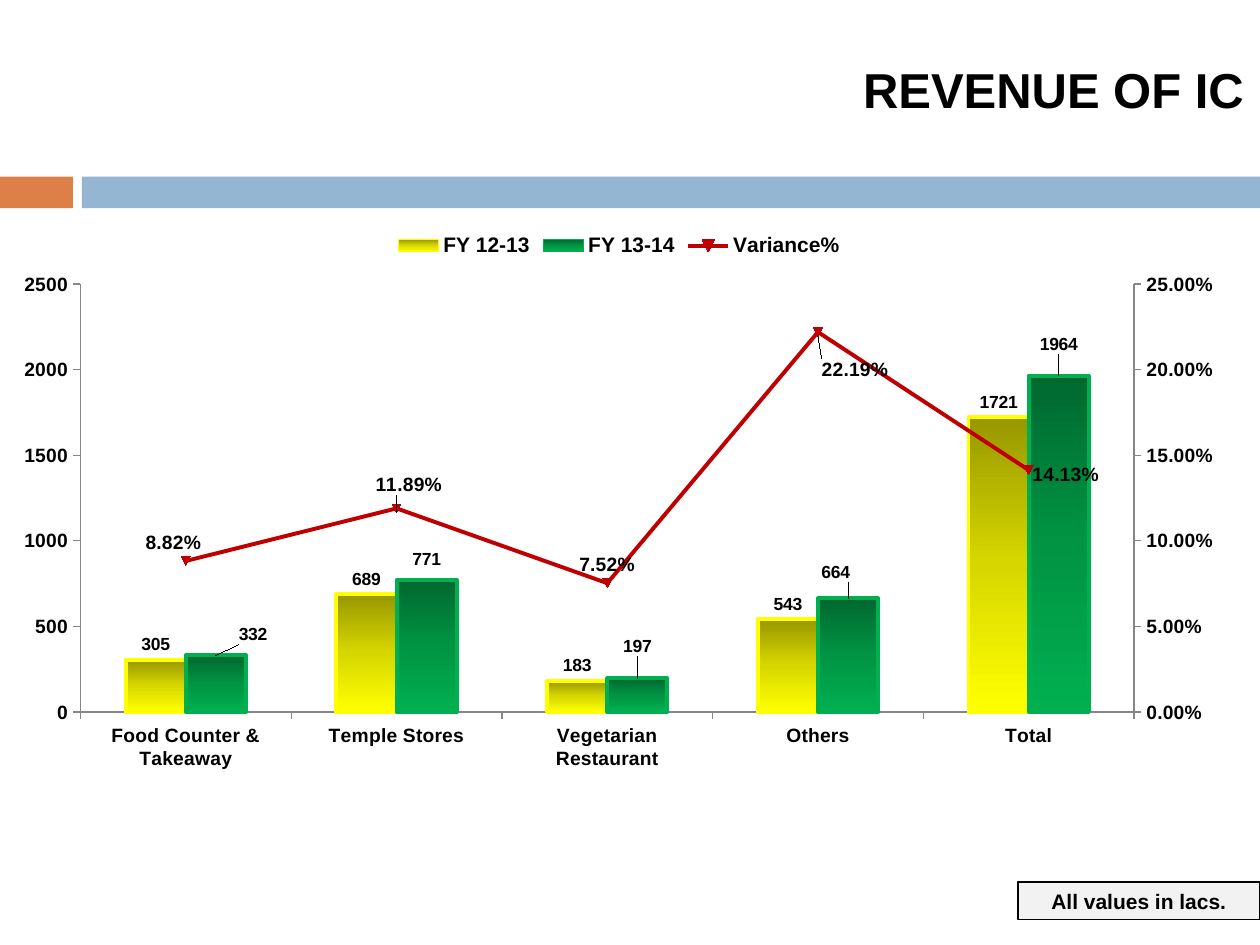
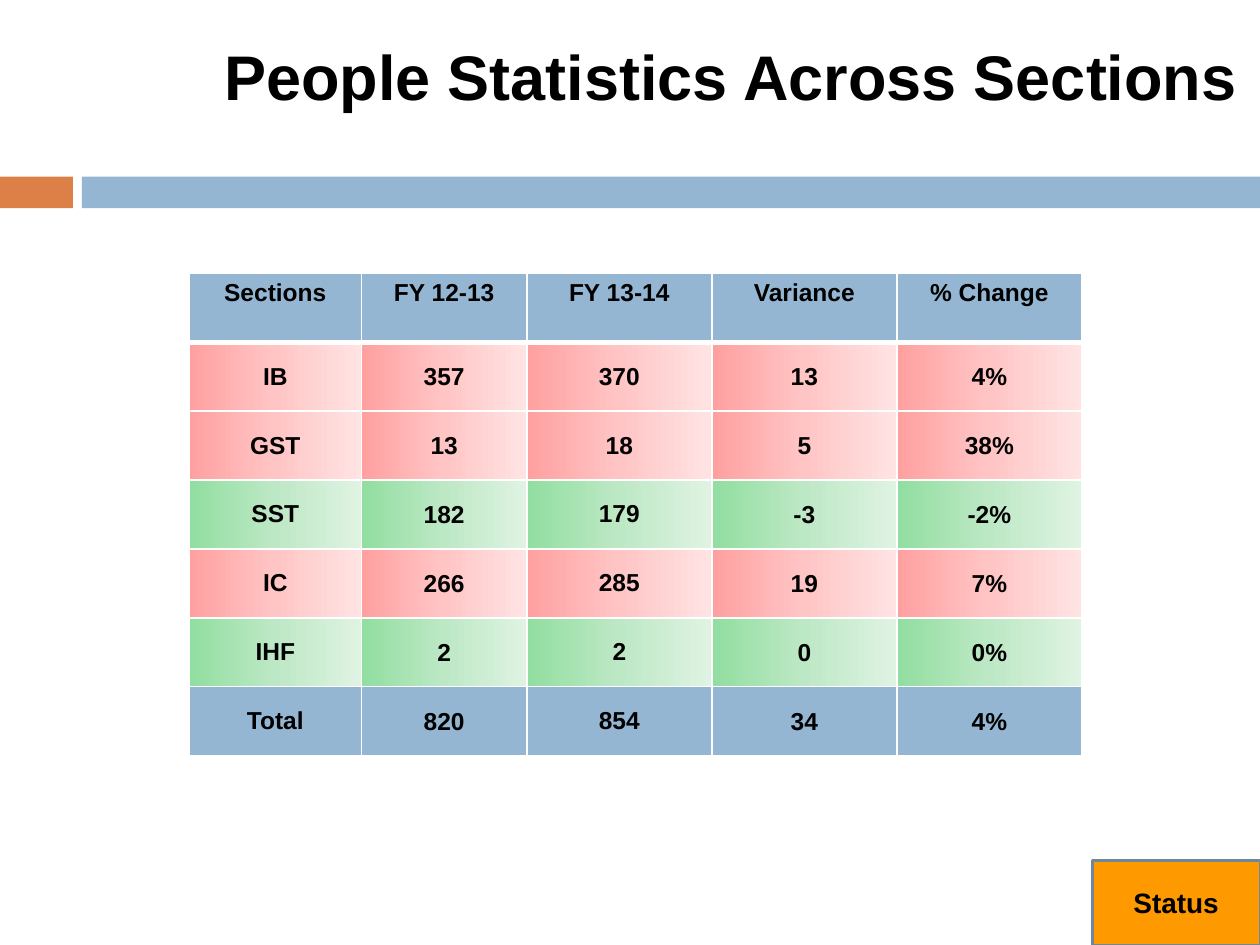
import copy

import pptx
import pptx.chart.axis
import pptx.chart.data
import pptx.dml.color
import pptx.enum.chart
import pptx.enum.shapes
import pptx.enum.text
import pptx.oxml
import pptx.oxml.ns
import pptx.util

Cm = pptx.util.Cm
Pt = pptx.util.Pt
qn = pptx.oxml.ns.qn
LABEL_POSITION = pptx.enum.chart.XL_LABEL_POSITION

FONT = "Arial"
COLOURS = {
    "ink": "000000",
    "white": "FFFFFF",
    "accent": "DD8047",
    "band": "94B6D2",
    "note": "F2F2F2",
    "status": "FF9900",
    "status_line": "6D879B",
    "axis": "868686",
    "variance": "C00000",
    "last_year": "FFFF00",
    "this_year": "00B050",
}
GRADIENTS = {
    "last_year": ("979700", "D7D700", "FFFF00"),
    "this_year": ("00682F", "009443", "00B050"),
    "rise": ("FFA0A0", "FFC5C5", "FFE3E3"),
    "steady": ("91DEA0", "BDE8C5", "DFF3E3"),
}

CATEGORIES = ["Food Counter & Takeaway", "Temple Stores", "Vegetarian Restaurant", "Others", "Total"]
LAST_YEAR = [305, 689, 183, 543, 1721]
THIS_YEAR = [332, 771, 197, 664, 1964]
VARIANCE = [0.0882, 0.1189, 0.0752, 0.2219, 0.1413]
# Label shifts as shares of the chart's width and height
THIS_YEAR_SHIFTS = [(0.03, -0.01), (0, -0.01), (0, -0.03), (-0.01, -0.02), (0, -0.03)]
VARIANCE_SHIFTS = [(-0.01, -0.07), (0.01, -0.08), (0, -0.07), (0.03, 0.03), (0.03, -0.03)]

PEOPLE = [
    (None, ["Sections", "FY 12-13", "FY 13-14", "Variance", "% Change"]),
    ("rise", ["IB", "357", "370", "13", "4%"]),
    ("rise", ["GST", "13", "18", "5", "38%"]),
    ("steady", ["SST", "182", "179", "-3", "-2%"]),
    ("rise", ["IC", "266", "285", "19", "7%"]),
    ("steady", ["IHF", "2", "2", "0", "0%"]),
    (None, ["Total", "820", "854", "34", "4%"]),
]
COLUMN_WIDTHS = [3.48, 3.33, 3.73, 3.73, 3.73]
ROW_HEIGHT = 1.39


def rgb(name):
    return pptx.dml.color.RGBColor.from_string(COLOURS[name])


def set_font(font, size):
    font.name = FONT
    font.size = Pt(size)
    font.bold = True
    font.color.rgb = rgb("ink")


def write(frame, text, size, align=None):
    paragraph = frame.paragraphs[0]
    paragraph.alignment = align
    run = paragraph.add_run()
    run.text = text
    set_font(run.font, size)


def paint_solid(fill, colour):
    fill.solid()
    fill.fore_color.rgb = rgb(colour)


def paint_gradient(fill, properties, name, angle):
    """Spread the stops of a named gradient evenly; properties holds the fill."""
    fill.gradient()
    gradient = properties.find(qn("a:gradFill"))
    stop_list = gradient.find(qn("a:gsLst"))
    stop_list.append(copy.deepcopy(stop_list[-1]))
    for index, (stop, colour) in enumerate(zip(fill.gradient_stops, GRADIENTS[name])):
        stop.position = index / 2
        stop.color.rgb = pptx.dml.color.RGBColor.from_string(colour)
    gradient.find(qn("a:lin")).set("ang", str(angle * 60000))


def add_box(slide, box, colour, line=None, line_width=0.75):
    shape = slide.shapes.add_shape(
        pptx.enum.shapes.MSO_SHAPE.RECTANGLE, *(Cm(length) for length in box))
    shape.shadow.inherit = False
    paint_solid(shape.fill, colour)
    if line:
        shape.line.color.rgb = rgb(line)
        shape.line.width = Pt(line_width)
    else:
        shape.line.fill.background()
    return shape


def add_framed_slide(deck, title, box, size):
    """Add a slide with the shared band and its title."""
    slide = deck.slides.add_slide(deck.slide_layouts[6])
    add_box(slide, (0, 3.56, 1.47, 0.64), "accent")
    add_box(slide, (1.65, 3.56, 23.75, 0.64), "band")
    frame = slide.shapes.add_textbox(*(Cm(length) for length in box)).text_frame
    frame.word_wrap = False
    frame.auto_size = pptx.enum.text.MSO_AUTO_SIZE.SHAPE_TO_FIT_TEXT
    write(frame, title, size)
    return slide


def add_corner_tag(slide, box, text, size, *look):
    frame = add_box(slide, box, *look).text_frame
    frame.word_wrap = True
    frame.vertical_anchor = pptx.enum.text.MSO_ANCHOR.MIDDLE
    write(frame, text, size, pptx.enum.text.PP_ALIGN.CENTER)


def chart_xml(tag, body):
    return pptx.oxml.parse_xml(f"<c:{tag} {pptx.oxml.ns.nsdecls('c')}>{body}</c:{tag}>")


def layout_xml(**values):
    parts = "".join(f'<c:{key} val="{value}"/>' for key, value in values.items())
    return chart_xml("layout", f"<c:manualLayout>{parts}</c:manualLayout>")


def style_axis(axis):
    axis.has_major_gridlines = False
    axis.major_tick_mark = pptx.enum.chart.XL_TICK_MARK.OUTSIDE
    axis.format.line.color.rgb = rgb("axis")
    axis.format.line.width = Pt(0.75)
    set_font(axis.tick_labels.font, 11)


def scale_axis(axis, maximum, step, number_format):
    axis.minimum_scale = 0
    axis.maximum_scale = maximum
    axis.major_unit = step
    axis.tick_labels.number_format = number_format
    axis.tick_labels.number_format_is_linked = False


def move_variance_to_right_axis(chart):
    """Turn the last series into a line on a second pair of axes."""
    bars = chart.plots[0]._element
    variance = bars.findall(qn("c:ser"))[-1]
    bars.remove(variance)
    for inverted in variance.findall(qn("c:invertIfNegative")):
        variance.remove(inverted)
    line_plot = chart_xml(
        "lineChart",
        '<c:grouping val="standard"/><c:varyColors val="0"/><c:marker val="1"/>'
        '<c:axId val="5001"/><c:axId val="5002"/>')
    line_plot.insert(2, variance)
    bars.addnext(line_plot)

    left = chart.value_axis._element
    right = copy.deepcopy(left)
    hidden = copy.deepcopy(chart.category_axis._element)
    left.addnext(right)
    right.addnext(hidden)
    for axis, own, other in ((hidden, "5001", "5002"), (right, "5002", "5001")):
        axis.find(qn("c:axId")).set("val", own)
        axis.find(qn("c:crossAx")).set("val", other)
    right.find(qn("c:axPos")).set("val", "r")
    right.find(qn("c:crosses")).set("val", "max")
    pptx.chart.axis.CategoryAxis(hidden).visible = False
    scale_axis(pptx.chart.axis.ValueAxis(right), 0.25, 0.05, "0.00%")


def label_series(series, size, number_format, position, shifts=()):
    labels = series.data_labels
    labels.show_value = True
    labels.number_format = number_format
    labels.number_format_is_linked = False
    labels.position = position
    set_font(labels.font, size)
    for index, (across, down) in enumerate(shifts):
        label = series.points[index].data_label
        label.position = position
        set_font(label.font, size)
        entry = series._element.findall(".//" + qn("c:dLbl"))[index]
        entry.insert(1, layout_xml(x=across, y=down))


def add_revenue_chart(slide, box):
    data = pptx.chart.data.CategoryChartData(number_format="0")
    data.categories = CATEGORIES
    data.add_series("FY 12-13", LAST_YEAR)
    data.add_series("FY 13-14", THIS_YEAR)
    data.add_series("Variance%", VARIANCE, number_format="0.00%")
    chart = slide.shapes.add_chart(
        pptx.enum.chart.XL_CHART_TYPE.COLUMN_CLUSTERED,
        *(Cm(length) for length in box), data).chart
    chart.has_title = False
    chart.font.name = "Cabin"
    chart.font.size = Pt(18)
    chart.font.color.rgb = rgb("ink")
    chart.has_legend = True
    chart.legend.position = pptx.enum.chart.XL_LEGEND_POSITION.TOP
    chart.legend.include_in_layout = False
    set_font(chart.legend.font, 12)

    style_axis(chart.category_axis)
    style_axis(chart.value_axis)
    scale_axis(chart.value_axis, 2500, 500, "0")
    move_variance_to_right_axis(chart)

    plot_area = chart._chartSpace.chart.plotArea
    for automatic in plot_area.findall(qn("c:layout")):
        plot_area.remove(automatic)
    plot_area.insert(0, layout_xml(
        layoutTarget="inner", xMode="edge", yMode="edge", x=0.065, y=0.114, w=0.851, h=0.765))

    bars, line_plot = chart.plots
    bars.vary_by_categories = False
    bars.gap_width = 150
    bars.overlap = 0
    years = zip(bars.series, ("last_year", "this_year"), ((), THIS_YEAR_SHIFTS))
    for series, year, shifts in years:
        look = series.format
        paint_gradient(look.fill, series._element.find(qn("c:spPr")), year, 90)
        look.line.color.rgb = rgb(year)
        look.line.width = Pt(2.25)
        label_series(series, 10, "0", LABEL_POSITION.OUTSIDE_END, shifts)

    variance = line_plot.series[0]
    variance.smooth = False
    variance.format.line.color.rgb = rgb("variance")
    variance.format.line.width = Pt(2.25)
    variance.marker.style = pptx.enum.chart.XL_MARKER_STYLE.AUTOMATIC
    variance.marker.size = 5
    paint_solid(variance.marker.format.fill, "variance")
    variance.marker.format.line.color.rgb = rgb("variance")
    label_series(variance, 11, "0.00%", LABEL_POSITION.BELOW, VARIANCE_SHIFTS)


def set_borders(properties, top, bottom):
    widths = {"lnL": 1, "lnR": 1, "lnT": top, "lnB": bottom}
    for index, (side, width) in enumerate(widths.items()):
        properties.insert(index, pptx.oxml.parse_xml(
            f'<a:{side} {pptx.oxml.ns.nsdecls("a")} w="{Pt(width)}"><a:solidFill>'
            f'<a:srgbClr val="{COLOURS["white"]}"/></a:solidFill></a:{side}>'))


def add_people_table(slide, left, top):
    table = slide.shapes.add_table(
        len(PEOPLE), len(COLUMN_WIDTHS), Cm(left), Cm(top),
        Cm(sum(COLUMN_WIDTHS)), Cm(ROW_HEIGHT * len(PEOPLE))).table
    table.horz_banding = False
    for column, width in zip(table.columns, COLUMN_WIDTHS):
        column.width = Cm(width)
    for row_index, (trend, texts) in enumerate(PEOPLE):
        table.rows[row_index].height = Cm(ROW_HEIGHT)
        for column_index, text in enumerate(texts):
            cell = table.cell(row_index, column_index)
            properties = cell._tc.get_or_add_tcPr()
            if trend:
                paint_gradient(cell.fill, properties, trend, 0)
            else:
                paint_solid(cell.fill, "band")
            set_borders(properties, 3 if row_index == 1 else 1, 3 if row_index == 0 else 1)
            if row_index:
                cell.vertical_anchor = pptx.enum.text.MSO_ANCHOR.MIDDLE
                if column_index != 2:
                    inset = Cm(0.03 if column_index else 0)
                    cell.margin_left = cell.margin_right = cell.margin_top = inset
                    cell.margin_bottom = 0
            write(cell.text_frame, text, 14, pptx.enum.text.PP_ALIGN.CENTER)


def main():
    deck = pptx.Presentation()
    deck.slide_width, deck.slide_height = Cm(25.4), Cm(19.05)

    revenue = add_framed_slide(deck, "REVENUE OF IC", (17.15, 1.07, 8.25, 1.45), 28)
    add_revenue_chart(revenue, (0, 4.44, 24.96, 11.28))
    add_corner_tag(revenue, (20.52, 17.78, 4.88, 0.76), "All values in lacs.", 12, "note", "ink")

    people = add_framed_slide(
        deck, "People Statistics Across Sections", (4.27, 0.64, 21.13, 1.8), 36)
    add_people_table(people, 3.81, 5.51)
    add_corner_tag(people, (22.02, 17.35, 3.38, 1.7), "Status", 16, "status", "status_line", 1.5)

    deck.save("out.pptx")


if __name__ == "__main__":
    main()
